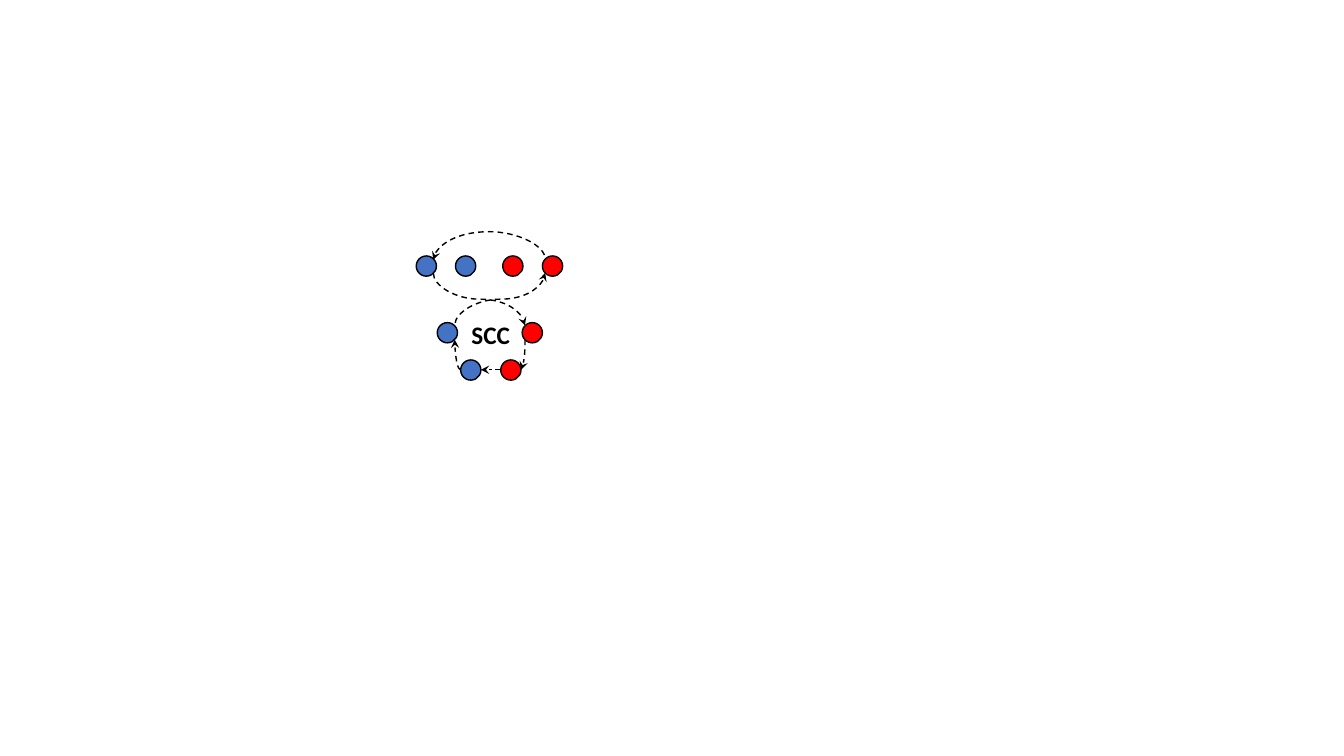
from lxml.etree import SubElement as Sub
from pptx import Presentation
from pptx.dml.color import RGBColor
from pptx.enum.dml import MSO_LINE as Dash
from pptx.enum.shapes import MSO_CONNECTOR as Link, MSO_SHAPE as Shape
from pptx.enum.text import MSO_AUTO_SIZE as Fit
from pptx.oxml.ns import qn
from pptx.util import Cm, Pt

BLUE = RGBColor(0x44, 0x72, 0xC4)
RED = RGBColor(0xFF, 0x00, 0x00)
BLACK = RGBColor(0x00, 0x00, 0x00)
SIZE = 0.51

deck = Presentation()
deck.slide_width, deck.slide_height = Cm(33.87), Cm(19.05)
slide = deck.slides.add_slide(deck.slide_layouts[6])
shapes = slide.shapes


def write(text, left, top, width, height, size=18, bold=False, color=BLACK, font="Calibri"):
    box = shapes.add_textbox(Cm(left), Cm(top), Cm(width), Cm(height))
    box.text_frame.word_wrap = False
    box.text_frame.auto_size = Fit.SHAPE_TO_FIT_TEXT
    run = box.text_frame.paragraphs[0].add_run()
    run.text = text
    run.font.name, run.font.size, run.font.bold = font, Pt(size), bold
    run.font.color.rgb = color


def curve(start, end, kind=3, turn=0, flip="", bend=None, tip="tailEnd"):
    (x1, y1), (x2, y2) = start, end
    wide, high = abs(x2 - x1), abs(y2 - y1)
    if turn in (90, 270):
        wide, high = high, wide
    left, top = (x1 + x2 - wide) / 2, (y1 + y2 - high) / 2
    link = shapes.add_connector(Link.CURVE, Cm(left), Cm(top), Cm(left + wide), Cm(top + high))
    link.line.color.rgb = BLACK
    link.line.width = Pt(1)
    link.line.dash_style = Dash.DASH
    props = link._element.spPr
    Sub(props.find(qn("a:ln")), qn("a:" + tip), type="stealth")
    Sub(props, qn("a:effectLst"))
    frame = props.find(qn("a:xfrm"))
    frame.set("rot", str(turn * 60000))
    for axis in flip:
        frame.set("flip" + axis, "1")
    geom = props.find(qn("a:prstGeom"))
    geom.set("prst", f"curvedConnector{kind}")
    if bend is not None:
        Sub(geom.find(qn("a:avLst")), qn("a:gd"), name="adj1", fmla=f"val {round(bend * 100000)}")


rows = [
    (6.45, [(10.49, BLUE), (11.48, BLUE), (12.67, RED), (13.67, RED)]),
    (8.13, [(11.02, BLUE), (13.16, RED)]),
    (9.07, [(11.61, BLUE), (12.62, RED)]),
]
for top, dots in rows:
    for left, color in dots:
        dot = shapes.add_shape(Shape.OVAL, Cm(left), Cm(top), Cm(SIZE), Cm(SIZE))
        dot.shadow.inherit = False
        dot.fill.solid()
        dot.fill.fore_color.rgb = color
        dot.line.color.rgb = BLACK
        dot.line.width = Pt(1)

curve((10.92, 6.53), (13.74, 6.55), turn=90, flip="HV", bend=35.5, tip="headEnd")
curve((10.92, 6.88), (13.23, 8.2), turn=270, flip="H", bend=0.5)
curve((13.74, 6.88), (11.46, 8.2), turn=90, bend=0.5, tip="headEnd")
curve((11.61, 9.32), (11.46, 8.56), kind=2, turn=180)
curve((12.62, 9.32), (12.12, 9.32), turn=180, flip="V", bend=0.5)
curve((13.23, 8.56), (13.13, 9.32), kind=2, turn=90)

write("SCC", 11.63, 7.92, 1.5, 1.02, bold=True)

deck.save("out.pptx")
